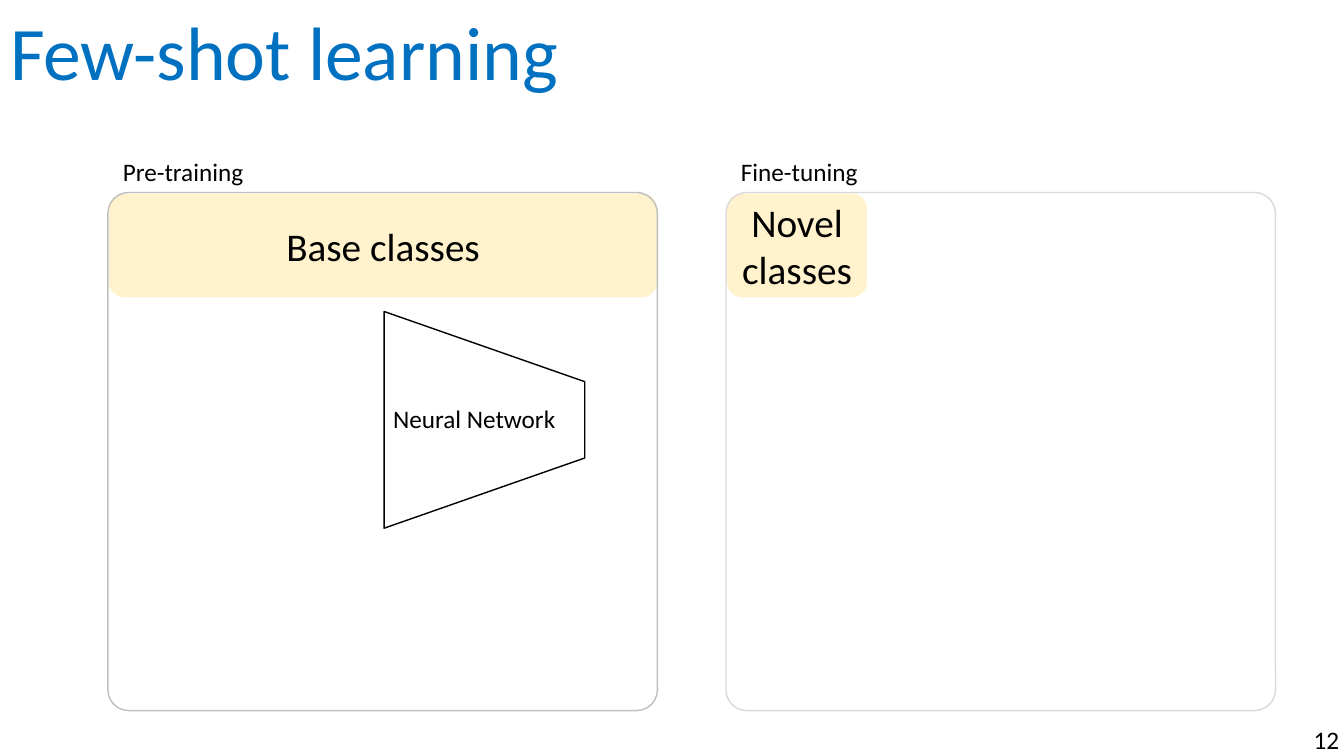
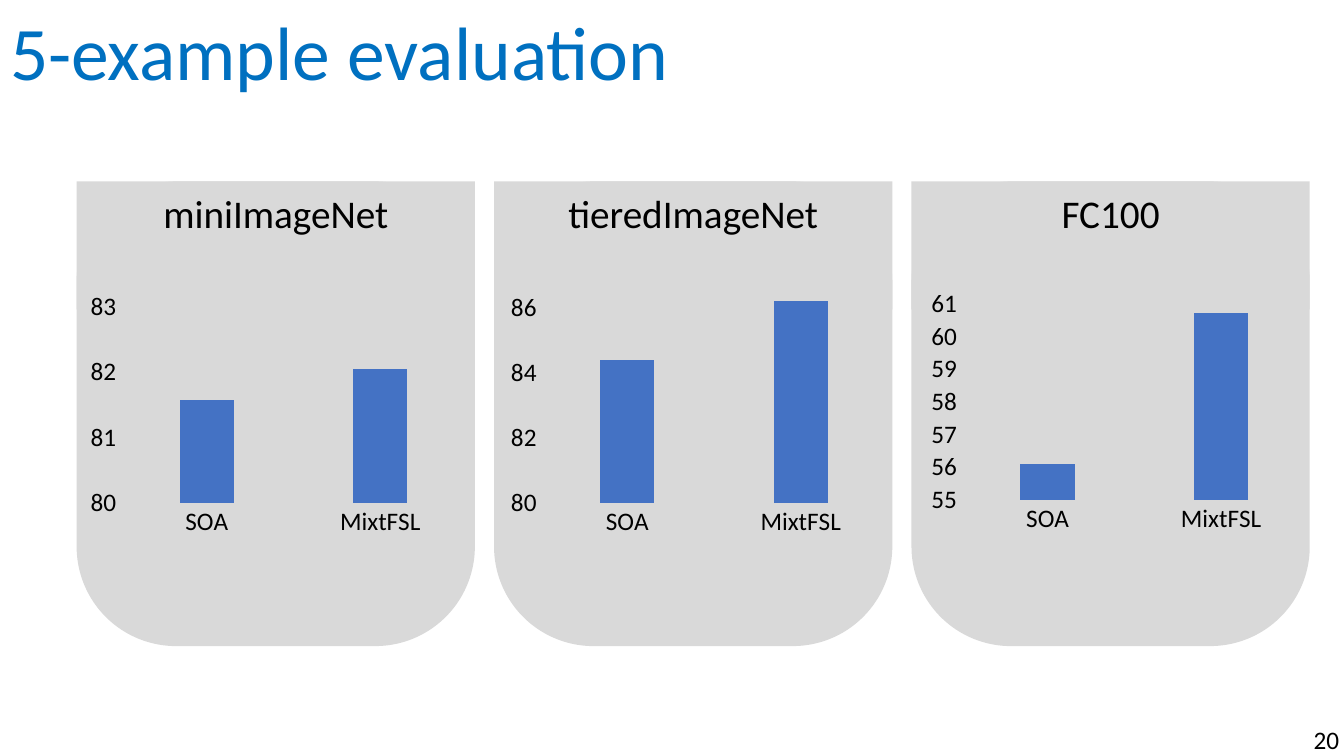
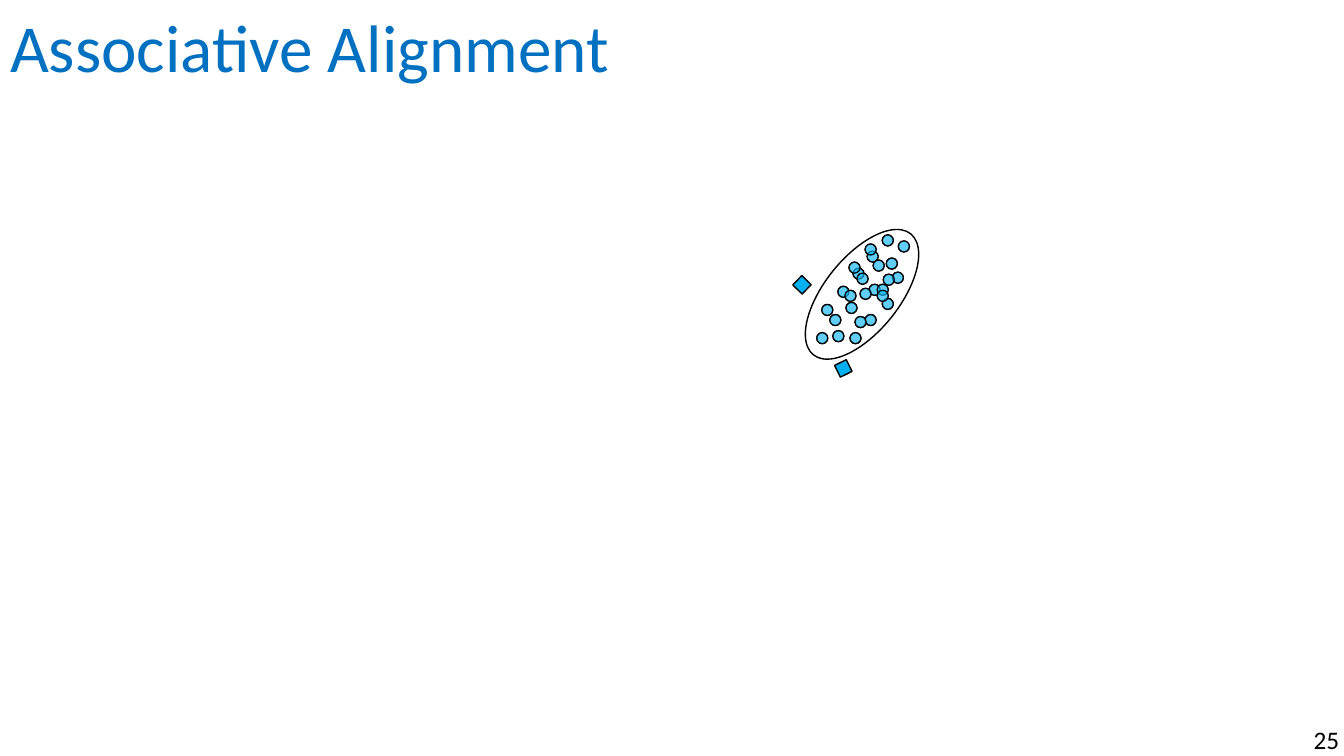
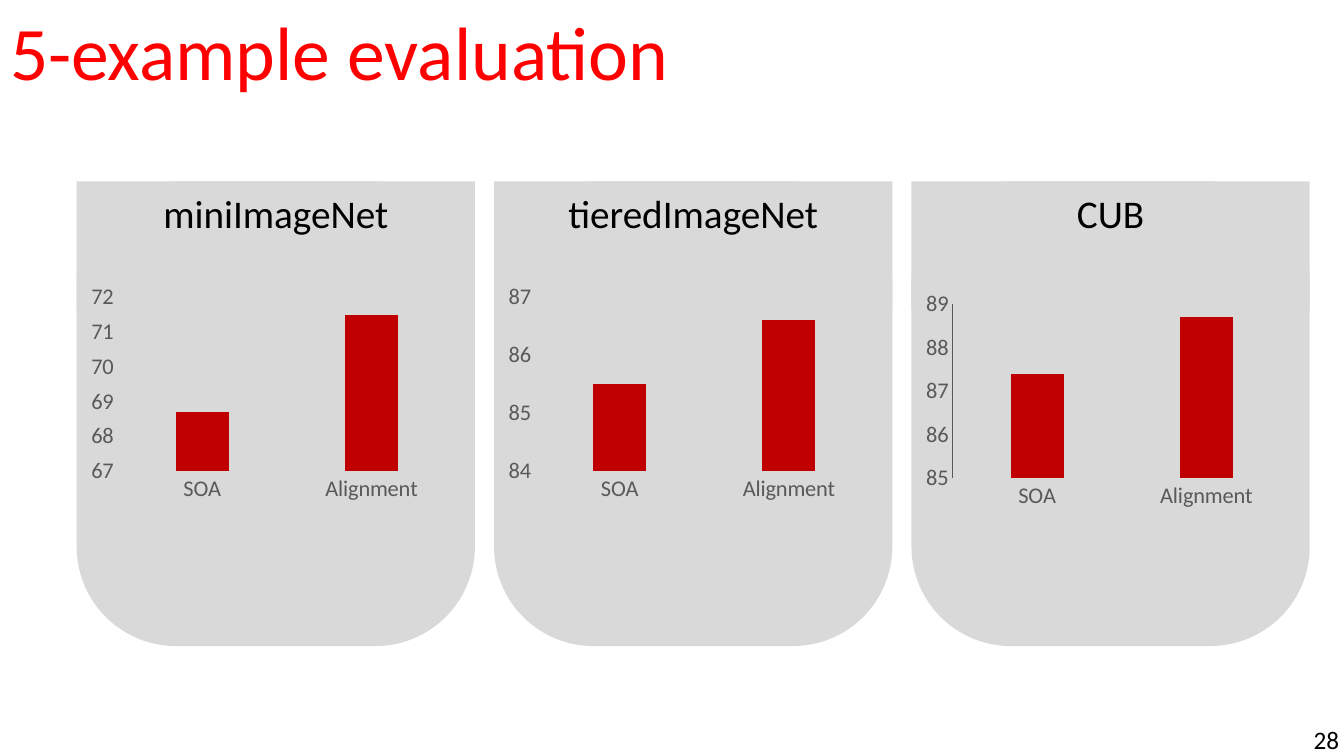
from lxml import etree
from pptx import Presentation
from pptx.chart.data import CategoryChartData
from pptx.dml.color import RGBColor
from pptx.enum.chart import XL_CHART_TYPE as ChartType, XL_TICK_MARK as Tick
from pptx.enum.shapes import MSO_SHAPE as Preset
from pptx.enum.text import MSO_ANCHOR as Anchor, MSO_AUTO_SIZE as AutoSize, PP_ALIGN as Align
from pptx.oxml import parse_xml
from pptx.oxml.ns import nsdecls, qn
from pptx.util import Inches, Pt

FONT = "Calibri"
BLACK = RGBColor(0x00, 0x00, 0x00)
WHITE = RGBColor(0xFF, 0xFF, 0xFF)
TITLE_BLUE = RGBColor(0x00, 0x70, 0xC0)
TITLE_RED = RGBColor(0xFF, 0x00, 0x00)
CREAM = RGBColor(0xFF, 0xF2, 0xCC)
PANEL_GREY = RGBColor(0xD9, 0xD9, 0xD9)
MID_GREY = RGBColor(0xBF, 0xBF, 0xBF)
AXIS_GREY = RGBColor(0x59, 0x59, 0x59)
BAR_BLUE = RGBColor(0x44, 0x72, 0xC4)
BAR_RED = RGBColor(0xC0, 0x00, 0x00)
SKY = RGBColor(0x00, 0xB0, 0xF0)

SLIDE_W, SLIDE_H = 13.33, 7.5

# Three equal panels on the evaluation slides
PANEL_LEFT, PANEL_TOP, PANEL_PITCH = 0.76, 1.8, 4.14
PANEL_W, PANEL_H, PANEL_HEAD_H = 3.95, 4.61, 1.27

# Two training stages
STAGE_LEFT, STAGE_TOP, STAGE_PITCH = 1.07, 1.91, 6.13
STAGE_W, STAGE_H = 5.45, 5.14

DOT = 0.11
SAMPLE_DOTS = [
    (8.91, 2.39), (8.75, 2.33), (8.85, 2.7), (8.15, 3.02), (8.26, 3.28),
    (8.43, 3.3), (8.1, 3.3), (8.31, 2.84), (8.39, 3), (8.58, 3.12),
    (8.62, 2.82), (8.75, 2.96), (8.79, 2.56), (8.6, 2.49), (8.46, 2.66),
    (8.7, 2.82), (8.23, 3.12), (8.48, 3.14), (8.42, 2.6), (8.53, 2.86),
    (8.7, 2.88), (8.38, 2.88), (8.58, 2.42), (8.66, 2.58), (8.5, 2.71),
    (8.76, 2.72),
]


def inches(*lengths):
    return [Inches(length) for length in lengths]


def write(frame, text, *, size=18, color=BLACK, align=Align.LEFT,
          anchor=Anchor.TOP, inset=0.1):
    frame.word_wrap = True
    frame.auto_size = AutoSize.NONE
    frame.vertical_anchor = anchor
    frame.margin_left = frame.margin_right = Inches(inset)
    frame.margin_top = frame.margin_bottom = Inches(0.05)
    paragraph = frame.paragraphs[0]
    paragraph.alignment = align
    run = paragraph.add_run()
    run.text = text
    run.font.name = FONT
    run.font.size = Pt(size)
    run.font.color.rgb = color


def add_label(shapes, text, box, **style):
    write(shapes.add_textbox(*inches(*box)).text_frame, text, **style)


def add_figure(shapes, preset, box, *, fill=None, line=None, width=1,
               corner=None, rotation=0, opacity=None):
    """Add a preset shape; corner is its first adjustment, opacity a percentage."""
    figure = shapes.add_shape(preset, *inches(*box))
    figure.shadow.inherit = False
    figure.rotation = rotation
    if corner is not None:
        figure.adjustments[0] = corner
    if fill is None:
        figure.fill.background()
    else:
        figure.fill.solid()
        figure.fill.fore_color.rgb = fill
    if line is None:
        figure.line.fill.background()
    else:
        figure.line.color.rgb = line
        figure.line.width = Pt(width)
    if opacity is not None:
        color = figure._element.spPr.find(qn("a:solidFill"))[0]
        etree.SubElement(color, qn("a:alpha")).set("val", str(opacity * 1000))
    return figure


def add_slide(deck, title, number, *, size=54, color=TITLE_BLUE):
    slide = deck.slides.add_slide(deck.slide_layouts[5])
    heading = slide.shapes.title
    heading.left, heading.top, heading.width, heading.height = inches(0, 0, 12.8, 1.01)
    write(heading.text_frame, title, size=size, color=color)
    add_label(slide.shapes, str(number), (SLIDE_W - 0.3, SLIDE_H - 0.36, 0.3, 0.36), inset=0)
    return slide


def clear_background(chart):
    no_fill = f'<c:spPr {nsdecls("c", "a")}><a:noFill/><a:ln><a:noFill/></a:ln></c:spPr>'
    chart_element = chart._chartSpace.chart
    chart_element.plotArea.append(parse_xml(no_fill))
    chart_element.addnext(parse_xml(no_fill))


def add_bar_chart(shapes, box, categories, values, scale, *, bar, text_size,
                  text_color, axis_line=None):
    """Add a column chart; scale is (minimum, maximum, step)."""
    data = CategoryChartData()
    data.categories = categories
    data.add_series("Series 1", values)
    chart = shapes.add_chart(ChartType.COLUMN_CLUSTERED, *inches(*box), data).chart
    chart.has_legend = chart.has_title = False
    chart.font.name, chart.font.size = FONT, Pt(text_size)
    chart.font.color.rgb = text_color
    clear_background(chart)

    plot = chart.plots[0]
    plot.gap_width, plot.overlap, plot.vary_by_categories = 219, -27, False
    fill = plot.series[0].format.fill
    fill.solid()
    fill.fore_color.rgb = bar

    value_axis = chart.value_axis
    value_axis.minimum_scale, value_axis.maximum_scale, value_axis.major_unit = scale
    value_axis.tick_labels.number_format = "General"
    value_axis.tick_labels.number_format_is_linked = False
    for axis in (chart.category_axis, value_axis):
        axis.major_tick_mark = axis.minor_tick_mark = Tick.NONE
    for line in (chart.category_axis.format.line, value_axis.major_gridlines.format.line):
        line.color.rgb = PANEL_GREY
        line.width = Pt(0.75)
    if axis_line is None:
        value_axis.format.line.fill.background()
    else:
        value_axis.format.line.color.rgb = axis_line
        value_axis.format.line.width = Pt(0.75)


def add_panel(shapes, left, heading):
    """Add a grey panel with square top and rounded bottom corners."""
    panel = shapes.add_group_shape().shapes
    add_figure(panel, Preset.ROUNDED_RECTANGLE, (left, PANEL_TOP, PANEL_W, PANEL_H),
               fill=PANEL_GREY, corner=0.25)
    add_figure(panel, Preset.RECTANGLE, (left, PANEL_TOP, PANEL_W, PANEL_HEAD_H),
               fill=PANEL_GREY)
    add_label(shapes, heading, (left, PANEL_TOP + 0.03, PANEL_W, 0.57),
              size=28, align=Align.CENTER)


def add_evaluation(slide, method, results, *, left, pitch, chart_size, **chart_style):
    """Add one panel per (dataset, values, scale, chart top, axis line)."""
    for column, (dataset, values, scale, top, axis_line) in enumerate(results):
        add_panel(slide.shapes, PANEL_LEFT + column * PANEL_PITCH, dataset)
        add_bar_chart(slide.shapes, (left + column * pitch, top, *chart_size),
                      ["SOA", method], values, scale,
                      axis_line=axis_line, **chart_style)


def add_stage(shapes, column, name, classes, classes_width, outline):
    left = STAGE_LEFT + column * STAGE_PITCH
    band = add_figure(shapes, Preset.ROUNDED_RECTANGLE,
                      (left + 0.01, STAGE_TOP + 0.01, classes_width, 1.03),
                      fill=CREAM, corner=0.15)
    write(band.text_frame, classes, size=28, align=Align.CENTER, anchor=Anchor.MIDDLE)
    add_figure(shapes, Preset.ROUNDED_RECTANGLE, (left, STAGE_TOP, STAGE_W, STAGE_H),
               line=outline, corner=0.04)
    add_label(shapes, name, (left + 0.05, STAGE_TOP - 0.41, 1.69, 0.4))


def build_few_shot(deck):
    shapes = add_slide(deck, "Few-shot learning", 12).shapes
    add_stage(shapes, 0, "Pre-training", "Base classes", 5.44, MID_GREY)
    add_stage(shapes, 1, "Fine-tuning", "Novel classes", 1.39, PANEL_GREY)
    network = shapes.add_group_shape().shapes
    add_figure(network, Preset.TRAPEZOID, (3.73, 3.17, 2.15, 1.99),
               fill=WHITE, line=BLACK, corner=0.35, rotation=90)
    add_label(network, "Neural Network", (3.8, 3.95, 1.99, 0.4))


def build_mixture_evaluation(deck):
    slide = add_slide(deck, "5-example evaluation", 20)
    add_evaluation(slide, "MixtFSL", [
        ("miniImageNet", (81.57, 82.04), (80, 83, 1), 2.84, None),
        ("tieredImageNet", (84.4, 86.2), (80, 86.5, 2), 2.84, None),
        ("FC100", (56.1, 60.7), (55, 61, 1), 2.81, None),
    ], left=0.82, pitch=4.17, chart_size=(3.89, 2.54),
        bar=BAR_BLUE, text_size=18, text_color=BLACK)


def build_alignment(deck):
    shapes = add_slide(deck, "Associative Alignment", 25, size=48).shapes
    samples = shapes.add_group_shape().shapes
    for style in ({"fill": WHITE}, {"fill": SKY, "opacity": 61, "width": 0}):
        for left, top in SAMPLE_DOTS:
            add_figure(samples, Preset.OVAL, (left, top, DOT, DOT), line=BLACK, **style)
    add_figure(shapes, Preset.OVAL, (8.18, 2.15, 0.74, 1.54), line=BLACK, rotation=38.8)
    for left, top, rotation in ((7.89, 2.76, 314.5), (8.3, 3.59, 333.8)):
        add_figure(shapes, Preset.RECTANGLE, (left, top, 0.13, 0.13),
                   fill=SKY, line=BLACK, rotation=rotation)


def build_alignment_evaluation(deck):
    slide = add_slide(deck, "5-example evaluation", 28, color=TITLE_RED)
    add_evaluation(slide, "Alignment", [
        ("miniImageNet", (68.7, 71.5), (67, 72, 1), 2.77, None),
        ("tieredImageNet", (85.5, 86.61), (84, 87, 1), 2.77, None),
        ("CUB", (87.4, 88.7), (85, 89, 1), 2.84, AXIS_GREY),
    ], left=0.83, pitch=4.14, chart_size=(3.77, 2.26),
        bar=BAR_RED, text_size=16, text_color=AXIS_GREY)


def main():
    deck = Presentation()
    deck.slide_width, deck.slide_height = inches(SLIDE_W, SLIDE_H)
    build_few_shot(deck)
    build_mixture_evaluation(deck)
    build_alignment(deck)
    build_alignment_evaluation(deck)
    deck.save("out.pptx")


if __name__ == "__main__":
    main()
